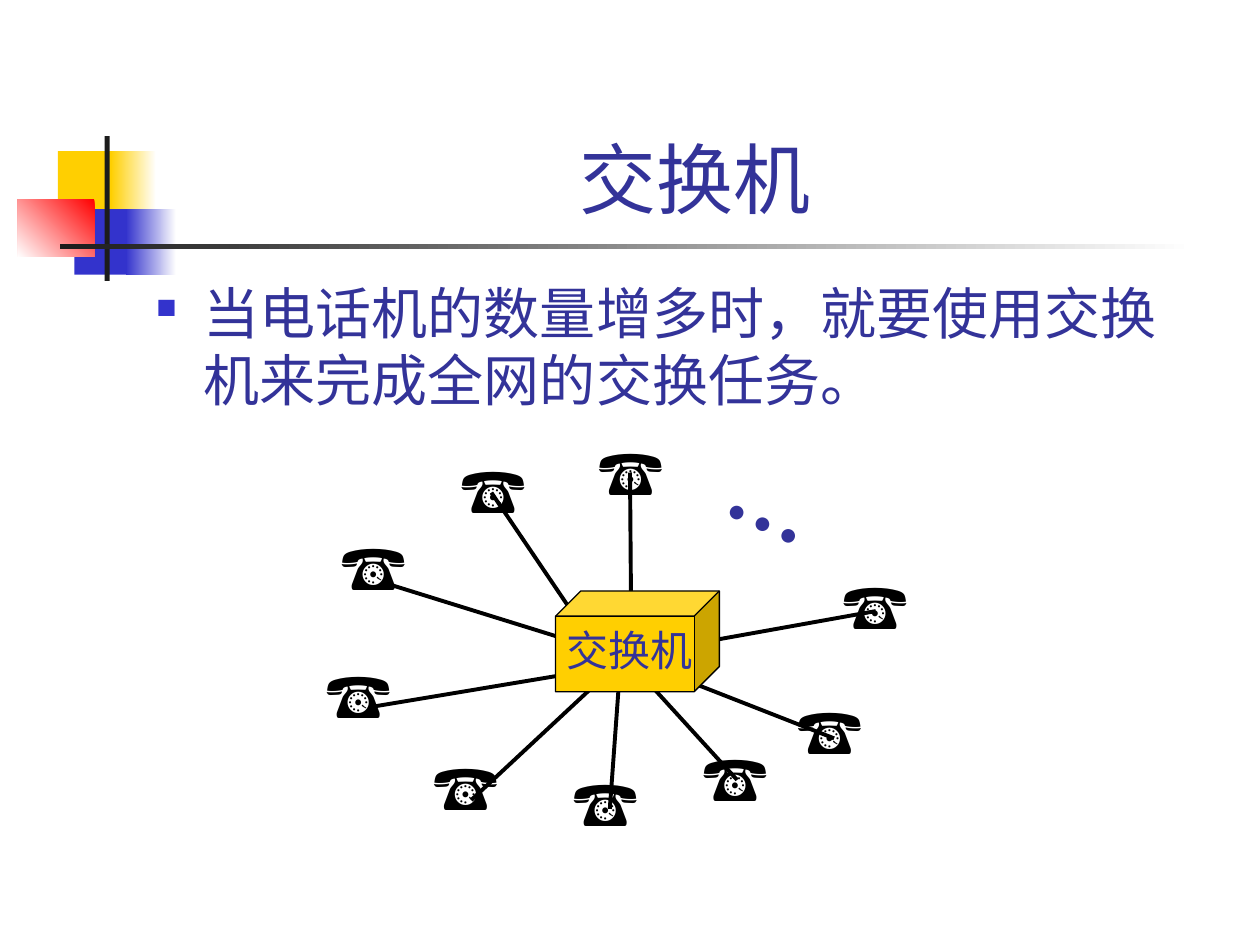
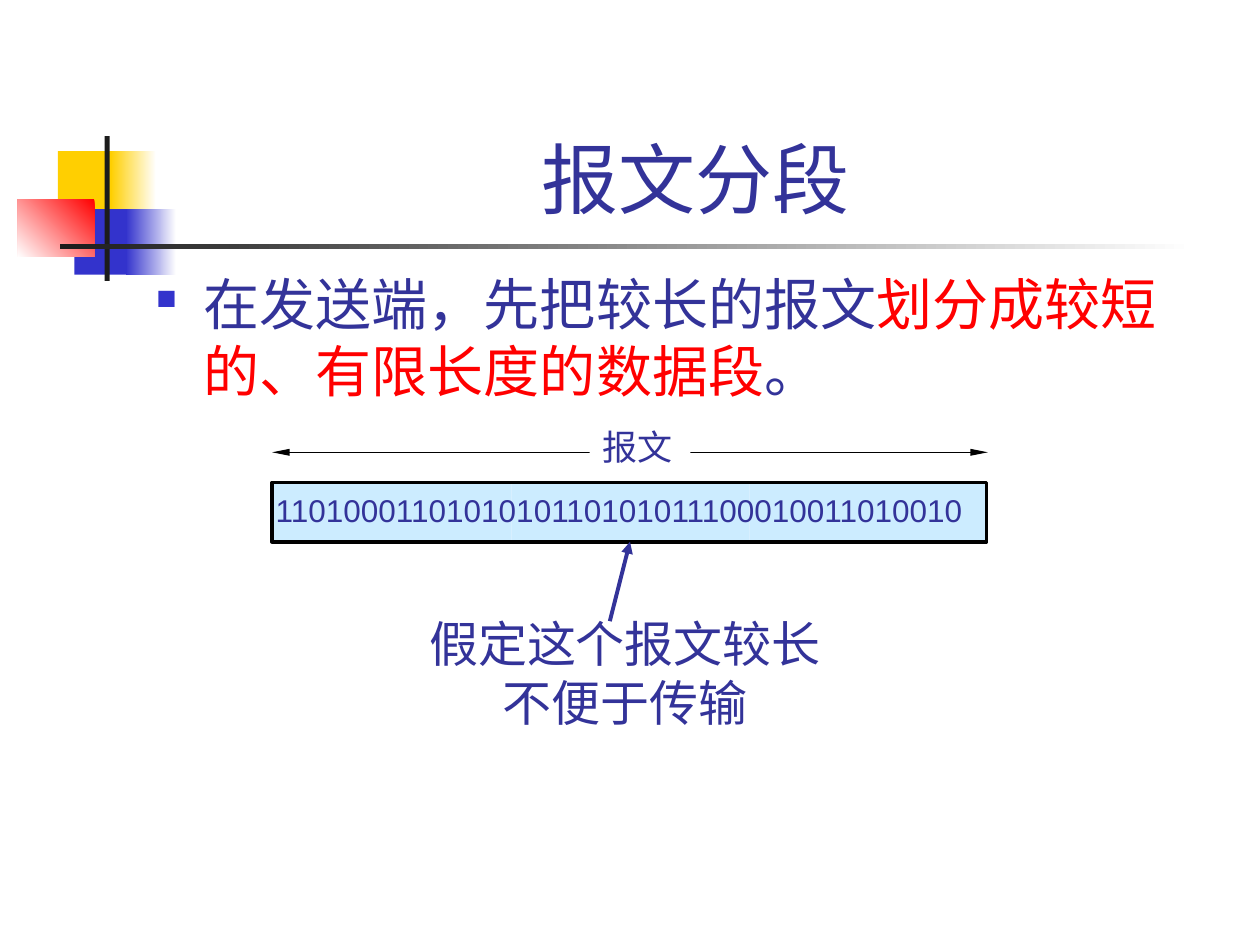
from dataclasses import dataclass

import pptx
import pptx.dml.color
import pptx.enum.shapes
import pptx.enum.text
import pptx.oxml
import pptx.oxml.ns
import pptx.util
from pptx.util import Inches

SHAPE = pptx.enum.shapes.MSO_SHAPE
ALIGN = pptx.enum.text.PP_ALIGN


@dataclass(frozen=True)
class Theme:
    ink: str = "333399"
    blue: str = "3333CC"
    yellow: str = "FFCF01"
    red: str = "FF0000"
    dark: str = "1C1C1C"
    black: str = "000000"
    white: str = "FFFFFF"
    pale_blue: str = "CCECFF"
    sans: str = "Arial"
    serif: str = "Times New Roman"
    caption_font: str = "Lato"
    title_size: int = 44
    body_size: int = 32
    phone_size: int = 36
    ellipsis_size: int = 48
    switch_size: int = 24
    caption_size: int = 28
    label_size: int = 20
    bits_size: int = 18
    thin: float = 0.75
    thick: float = 2.25


@dataclass(frozen=True)
class Box:
    left: float
    top: float
    width: float
    height: float

    def inside(self, left, top, width, height):
        return Box(self.left + left, self.top + top, width, height)

    def point(self, x, y):
        return self.left + x, self.top + y

    def lengths(self):
        return [Inches(n) for n in (self.left, self.top, self.width, self.height)]


THEME = Theme()
TITLE_BOX = Box(1.26, 0.23, 8.52, 1.6)
ORNAMENT_BOX = Box(0.14, 1.08, 9.34, 1.15)
NETWORK_BOX = Box(2.49, 3.38, 4.95, 3.33)
MESSAGE_BOX = Box(2.09, 3.33, 5.76, 2.53)

# Phone corner, line end at the phone, line end at the switch
PHONES = [
    ((2.16, 0), (2.51, 0.37), (2.52, 1.63)),
    ((0.12, 0.76), (0.54, 1.24), (2.15, 1.74)),
    ((0.85, 2.5), (1.25, 2.97), (2.27, 2.02)),
    ((4.1, 1.07), (4.46, 1.47), (2.9, 1.75)),
    ((2.99, 2.43), (3.36, 2.81), (2.43, 1.79)),
    ((0, 1.77), (0.46, 2.23), (2.2, 1.94)),
    ((1.07, 0.15), (1.41, 0.53), (2.08, 1.52)),
    ((1.96, 2.63), (2.35, 3.04), (2.43, 1.94)),
    ((3.74, 2.06), (4.13, 2.48), (2.75, 1.94)),
]


def rgb(color):
    return pptx.dml.color.RGBColor.from_string(color)


def style_font(font, name, size, color=None, bold=None):
    font.name = name
    font.size = pptx.util.Pt(size)
    font.bold = bold
    if color:
        font.color.rgb = rgb(color)


def add_block(slide, box, fill=None, line=None, line_width=THEME.thin, kind=SHAPE.RECTANGLE):
    shape = slide.shapes.add_shape(kind, *box.lengths())
    shape.shadow.inherit = False
    if fill:
        shape.fill.solid()
        shape.fill.fore_color.rgb = rgb(fill)
    else:
        shape.fill.background()
    if line:
        shape.line.color.rgb = rgb(line)
        shape.line.width = pptx.util.Pt(line_width)
    else:
        shape.line.fill.background()
    return shape


def add_fade(slide, box, start, end, angle=180):
    shape = add_block(slide, box)
    shape.fill.gradient()
    shape.fill.gradient_angle = angle
    for stop, color in zip(shape.fill.gradient_stops, (start, end)):
        stop.color.rgb = rgb(color)


def add_line(slide, start, end, color=THEME.black, width=THEME.thick, arrows=()):
    """Draw a line; arrows holds (headEnd or tailEnd, width, length) triples."""
    ends = [Inches(n) for n in (*start, *end)]
    connector = slide.shapes.add_connector(pptx.enum.shapes.MSO_CONNECTOR.STRAIGHT, *ends)
    connector.line.color.rgb = rgb(color)
    connector.line.width = pptx.util.Pt(width)
    properties = connector._element.spPr
    for tag, arrow_width, length in arrows:
        arrow = pptx.oxml.parse_xml(
            f'<a:{tag} {pptx.oxml.ns.nsdecls("a")} type="triangle" w="{arrow_width}" len="{length}"/>')
        properties.find(pptx.oxml.ns.qn("a:ln")).append(arrow)
    properties.append(pptx.oxml.parse_xml(f'<a:effectLst {pptx.oxml.ns.nsdecls("a")}/>'))


def add_label(slide, box, lines, font, size, color=THEME.ink, bold=None, align=ALIGN.LEFT):
    text_box = slide.shapes.add_textbox(*box.lengths())
    frame = text_box.text_frame
    frame.word_wrap = False
    frame.auto_size = pptx.enum.text.MSO_AUTO_SIZE.SHAPE_TO_FIT_TEXT
    frame.text = "\n".join(lines)
    for paragraph in frame.paragraphs:
        paragraph.alignment = align
        style_font(paragraph.font, font, size, color, bold)
    return text_box


def add_ornament(slide, box):
    """Overlapping squares and cross lines beside the title."""
    add_block(slide, box.inside(0.32, 0.12, 0.48, 0.52), THEME.yellow)
    add_fade(slide, box.inside(0.74, 0.12, 0.36, 0.52), THEME.white, THEME.yellow)
    add_block(slide, box.inside(0.45, 0.58, 0.46, 0.52), THEME.blue)
    add_fade(slide, box.inside(0.86, 0.58, 0.4, 0.52), THEME.white, THEME.blue)
    add_fade(slide, box.inside(0, 0.5, 0.61, 0.46), THEME.red, THEME.white, 225)
    add_block(slide, box.inside(0.69, 0, 0.04, box.height), THEME.dark)
    add_fade(slide, box.inside(0.34, 0.86, 9, 0.04), THEME.white, THEME.dark)


def add_titled_slide(presentation, title):
    slide = presentation.slides.add_slide(presentation.slide_layouts.get_by_name("Title Only"))
    add_ornament(slide, ORNAMENT_BOX)
    shape = slide.shapes.title
    shape.left, shape.top, shape.width, shape.height = TITLE_BOX.lengths()
    frame = shape.text_frame
    frame.text = title
    frame.word_wrap = True
    frame.auto_size = pptx.enum.text.MSO_AUTO_SIZE.NONE
    frame.vertical_anchor = pptx.enum.text.MSO_ANCHOR.BOTTOM
    paragraph = frame.paragraphs[0]
    paragraph.alignment = ALIGN.CENTER
    style_font(paragraph.font, THEME.sans, THEME.title_size, THEME.ink)
    return slide


def add_bullet_text(slide, box, parts):
    """Write one bulleted paragraph from (text, colour) parts."""
    frame = slide.shapes.add_textbox(*box.lengths()).text_frame
    frame.word_wrap = True
    paragraph = frame.paragraphs[0]
    properties = paragraph._p.get_or_add_pPr()
    properties.set("marL", str(Inches(0.38)))
    properties.set("indent", str(-Inches(0.38)))
    for bullet in (f'buClr {{}}><a:srgbClr val="{THEME.blue}"/></a:buClr>',
                   'buSzPct {} val="50000"/>',
                   'buChar {} char="■"/>'):
        properties.append(pptx.oxml.parse_xml("<a:" + bullet.format(pptx.oxml.ns.nsdecls("a"))))
    style_font(paragraph.font, THEME.sans, THEME.body_size)
    for text, color in parts:
        run = paragraph.add_run()
        run.text = text
        run.font.color.rgb = rgb(color)


def add_phone_network(slide, box):
    ellipsis = add_label(slide, box.inside(3.22, 0.13, 0.86, 0.9), ["…"],
                         THEME.serif, THEME.ellipsis_size, bold=True)
    ellipsis.rotation = 24.3
    for corner, phone_end, switch_end in PHONES:
        add_line(slide, box.point(*phone_end), box.point(*switch_end))
        add_label(slide, box.inside(*corner, 0.85, 0.7), ["☎"],
                  THEME.sans, THEME.phone_size, THEME.black)
    add_block(slide, box.inside(1.92, 1.31, 1.3, 0.8), THEME.yellow, THEME.black, kind=SHAPE.CUBE)
    add_label(slide, box.inside(1.91, 1.53, 1.24, 0.5), ["交换机"], THEME.serif, THEME.switch_size)


def add_message_diagram(slide, box):
    add_line(slide, box.point(0.07, 0.26), box.point(5.75, 0.26), width=THEME.thin,
             arrows=[("headEnd", "sm", "lg"), ("tailEnd", "sm", "lg")])
    label = add_label(slide, box.inside(2.59, 0, 0.8, 0.44), ["报文"], THEME.serif, THEME.label_size)
    label.fill.solid()
    label.fill.fore_color.rgb = rgb(THEME.white)

    segment_width = 1.89
    for index in range(3):
        segment = box.inside(0.08 + index * segment_width, 0.5, segment_width, 0.47)
        add_block(slide, segment, THEME.pale_blue)
    add_block(slide, box.inside(0.07, 0.5, 3 * segment_width, 0.47),
              line=THEME.black, line_width=THEME.thick)
    add_label(slide, box.inside(0, 0.52, box.width, 0.4),
              ["1101000110101010110101011100010011010010"], THEME.sans, THEME.bits_size)

    add_label(slide, box.inside(1.07, 1.49, 3.6, 1.04), ["假定这个报文较长", "不便于传输"],
              THEME.caption_font, THEME.caption_size, align=ALIGN.CENTER)
    add_line(slide, box.point(2.75, 1.6), box.point(2.91, 0.97), THEME.ink,
             arrows=[("tailEnd", "med", "med")])


def build_switch_slide(presentation):
    slide = add_titled_slide(presentation, "交换机")
    add_bullet_text(slide, Box(1.14, 2.16, 8.5, 4.5),
                    [("当电话机的数量增多时，就要使用交换机来完成全网的交换任务。", THEME.ink)])
    add_phone_network(slide, NETWORK_BOX)


def build_segment_slide(presentation):
    slide = add_titled_slide(presentation, "报文分段")
    add_bullet_text(slide, Box(1.14, 2.09, 8.5, 4.5),
                    [("在发送端，先把较长的报文", THEME.ink),
                     ("划分成较短的、有限长度的数据段", THEME.red),
                     ("。", THEME.ink)])
    add_message_diagram(slide, MESSAGE_BOX)


def main():
    presentation = pptx.Presentation()
    presentation.slide_width = Inches(10)
    presentation.slide_height = Inches(7.5)
    build_switch_slide(presentation)
    build_segment_slide(presentation)
    presentation.save("out.pptx")


if __name__ == "__main__":
    main()
